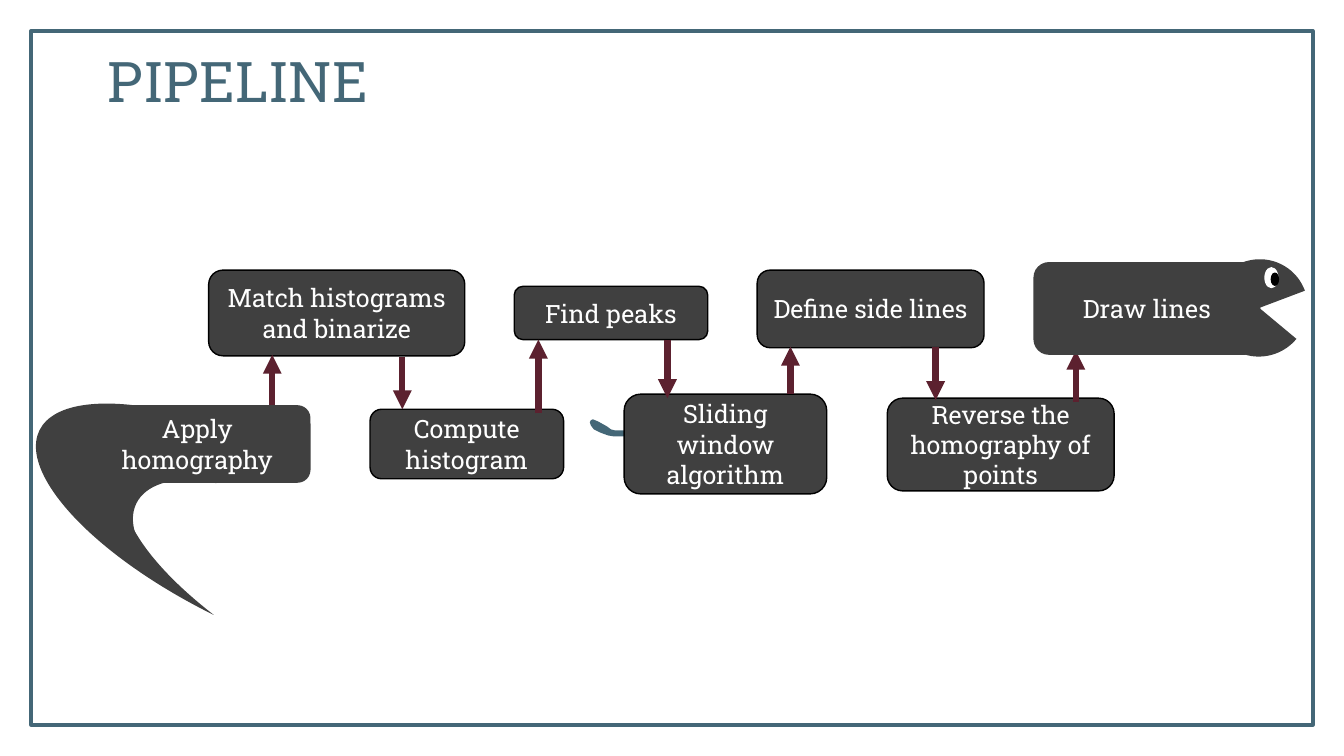
"""Build the pipeline slide, a fish made of linked steps."""
from dataclasses import dataclass
from lxml.etree import SubElement
from pptx import Presentation
from pptx.dml.color import RGBColor
from pptx.enum.shapes import MSO_CONNECTOR, MSO_SHAPE
from pptx.enum.text import MSO_ANCHOR, MSO_AUTO_SIZE, PP_ALIGN
from pptx.oxml.ns import qn
from pptx.util import Pt

PX = 9144


@dataclass(frozen=True)
class Theme:
    font: str = "Roboto Slab"
    blue: str = "446777"
    dark: str = "404040"
    wine: str = "5C212F"
    white: str = "FFFFFF"
    black: str = "000000"
    head: int = 40
    body: int = 18
    thin: float = 1
    frame: float = 3
    arrow: float = 4.5


def write(frame, text, *, font, size, color, anchor, space=None, inset=None):
    frame.word_wrap = True
    frame.auto_size = MSO_AUTO_SIZE.NONE
    frame.vertical_anchor = anchor
    if inset is not None:
        frame.margin_left = frame.margin_right = inset
        frame.margin_top = frame.margin_bottom = inset
    frame.text = text
    para = frame.paragraphs[0]
    para.alignment = PP_ALIGN.CENTER
    if space:
        para.line_spacing = space
    para.font.name = font
    para.font.size = Pt(size)
    para.font.color.rgb = RGBColor.from_string(color)


class Deck:
    def __init__(self, theme):
        self.theme = theme
        self.file = Presentation()
        self.file.slide_width, self.file.slide_height = 1333 * PX, 750 * PX
        self.slide = self.file.slides.add_slide(self.file.slide_layouts[5])
        self.shapes = self.slide.shapes

    def group(self):
        self.shapes = self.slide.shapes.add_group_shape().shapes

    def leave(self):
        self.shapes = self.slide.shapes

    def paint(self, shape, fill, line=None, width=1):
        shape.shadow.inherit = False
        if fill:
            shape.fill.solid()
            shape.fill.fore_color.rgb = RGBColor.from_string(fill)
        else:
            shape.fill.background()
        if line:
            shape.line.color.rgb = RGBColor.from_string(line)
            shape.line.width = Pt(width)
        else:
            shape.line.fill.background()

    def title(self, text, *box):
        shape = self.slide.shapes.title
        shape.left, shape.top, shape.width, shape.height = (v * PX for v in box)
        write(shape.text_frame, text, font=self.theme.font, size=self.theme.head,
              color=self.theme.blue, anchor=MSO_ANCHOR.TOP, space=0.9, inset=0)

    def shape(self, kind, box, fill, line=None, width=1, turn=0, adjust=()):
        shape = self.shapes.add_shape(kind, *(v * PX for v in box))
        self.paint(shape, fill, line, width)
        shape.rotation = turn
        for spot, value in enumerate(adjust):
            shape.adjustments[spot] = value
        return shape

    def step(self, text, *box, line=None):
        shape = self.shape(MSO_SHAPE.ROUNDED_RECTANGLE, box, self.theme.dark,
                           line, self.theme.thin)
        write(shape.text_frame, text, font=self.theme.font, size=self.theme.body,
              color=self.theme.white, anchor=MSO_ANCHOR.MIDDLE)

    def twig(self, points):
        pen = self.shapes.build_freeform(*points[0], scale=PX)
        pen.add_line_segments(points[1:], close=True)
        self.paint(pen.convert_to_shape(), self.theme.blue)

    def arrow(self, x, start, end):
        link = self.shapes.add_connector(
            MSO_CONNECTOR.STRAIGHT, x * PX, start * PX, x * PX, end * PX)
        link.line.color.rgb = RGBColor.from_string(self.theme.wine)
        link.line.width = Pt(self.theme.arrow)
        SubElement(link.line._get_or_add_ln(), qn("a:tailEnd"), type="triangle")
        SubElement(link._element.spPr, qn("a:effectLst"))


TWIG = [
    (747, 427), (744, 430), (731, 431), (708, 430), (714, 434), (721, 436),
    (722, 442), (715, 437), (705, 432), (690, 431), (683, 435), (676, 437),
    (664, 437), (668, 440), (681, 441), (690, 445), (683, 444), (668, 443),
    (655, 440), (644, 440), (639, 438), (632, 434), (628, 433), (609, 433),
    (603, 432), (595, 429), (591, 427), (589, 426), (586, 422), (585, 419),
    (586, 417), (588, 416), (593, 418), (602, 423), (606, 426), (610, 427),
    (618, 427), (628, 426), (634, 424), (641, 424), (649, 422), (654, 419),
    (651, 424), (639, 428), (638, 429), (646, 433), (655, 434), (660, 432),
    (676, 432), (683, 430), (698, 426), (710, 427), (717, 427), (727, 424),
    (735, 417), (736, 413), (737, 417), (742, 417), (733, 422), (724, 428),
    (735, 430), (743, 427),
]
STEPS = [
    ("Compute histogram", 367, 406, 192, 69),
    ("Find peaks", 510, 284, 192, 53),
    ("Sliding window algorithm", 619, 391, 201, 99),
    ("Define side lines", 751, 268, 225, 77),
    ("Reverse the homography of points", 880, 395, 225, 92),
]
ARROWS = [
    (270, 402, 352), (399, 354, 406), (534, 410, 337), (662, 337, 395),
    (784, 391, 344), (928, 344, 397), (1067, 399, 348),
]
TAIL = [((101, 453, 95, 106), 0.344), ((27, 391, 236, 176), 0.407)]


def main():
    theme = Theme()
    deck = Deck(theme)
    deck.shape(MSO_SHAPE.RECTANGLE, (31, 31, 1271, 688), None, theme.blue, theme.frame)
    deck.twig(TWIG)
    deck.step("Match histograms and binarize", 207, 268, 254, 85, line=theme.black)

    deck.group()
    for box, bend in TAIL:
        deck.shape(MSO_SHAPE.MOON, box, theme.dark, turn=26.2, adjust=[bend])
    deck.step("Apply homography", 83, 402, 225, 77)
    deck.leave()

    for text, *box in STEPS:
        deck.step(text, *box, line=theme.black)
    deck.title("PIPELINE", 45, 54, 382, 66)
    for x, start, end in ARROWS:
        deck.arrow(x, start, end)

    deck.group()
    deck.shape(MSO_SHAPE.PIE, (1201, 257, 96, 97), theme.dark, turn=39.8,
               adjust=[0, 179.712])
    deck.step("Draw lines", 1025, 260, 225, 92)
    deck.shape(MSO_SHAPE.OVAL, (1254, 265, 14, 21), theme.white)
    deck.shape(MSO_SHAPE.OVAL, (1261, 271, 7, 12), theme.black, theme.black, theme.thin)
    deck.leave()
    deck.file.save("out.pptx")


if __name__ == "__main__":
    main()
